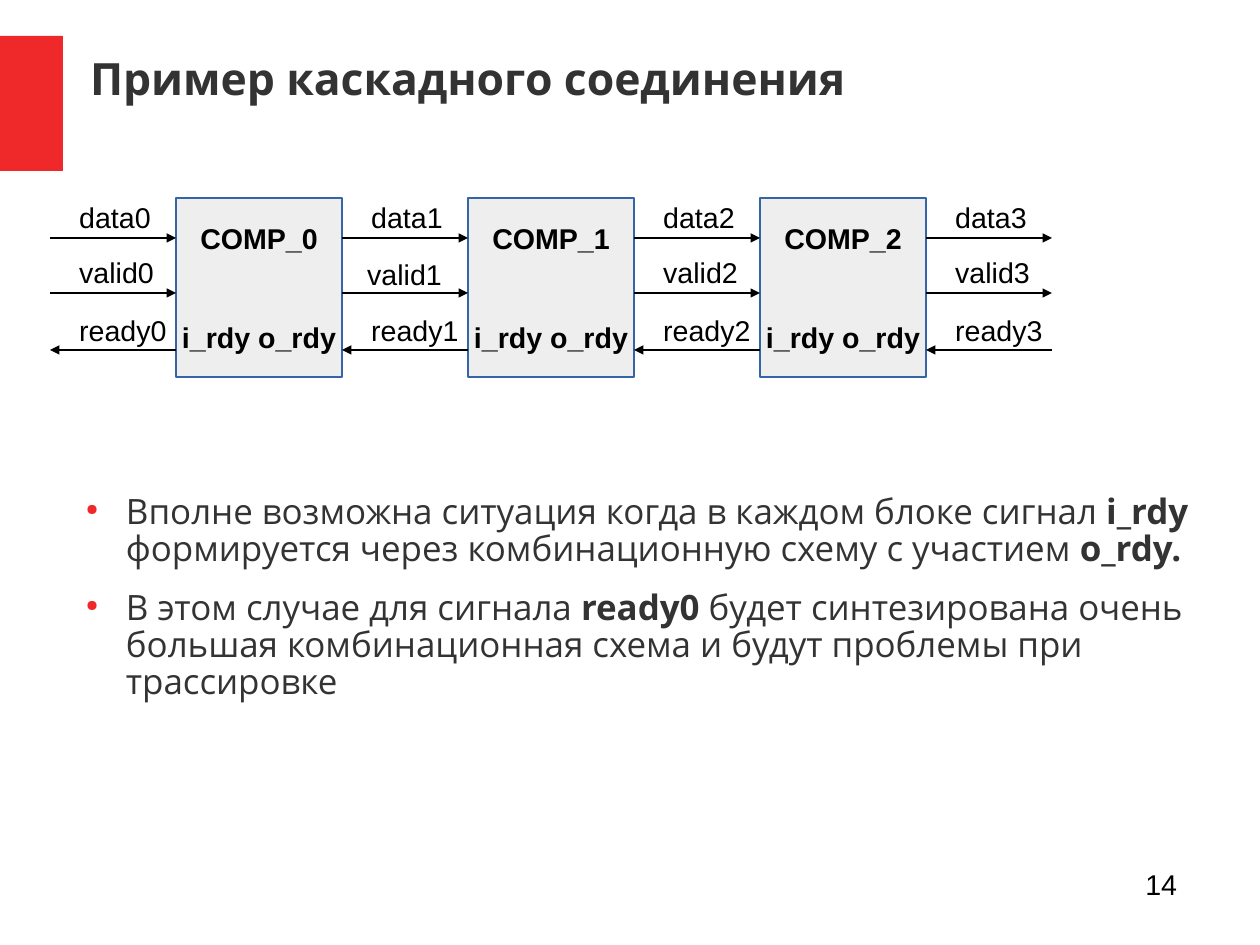
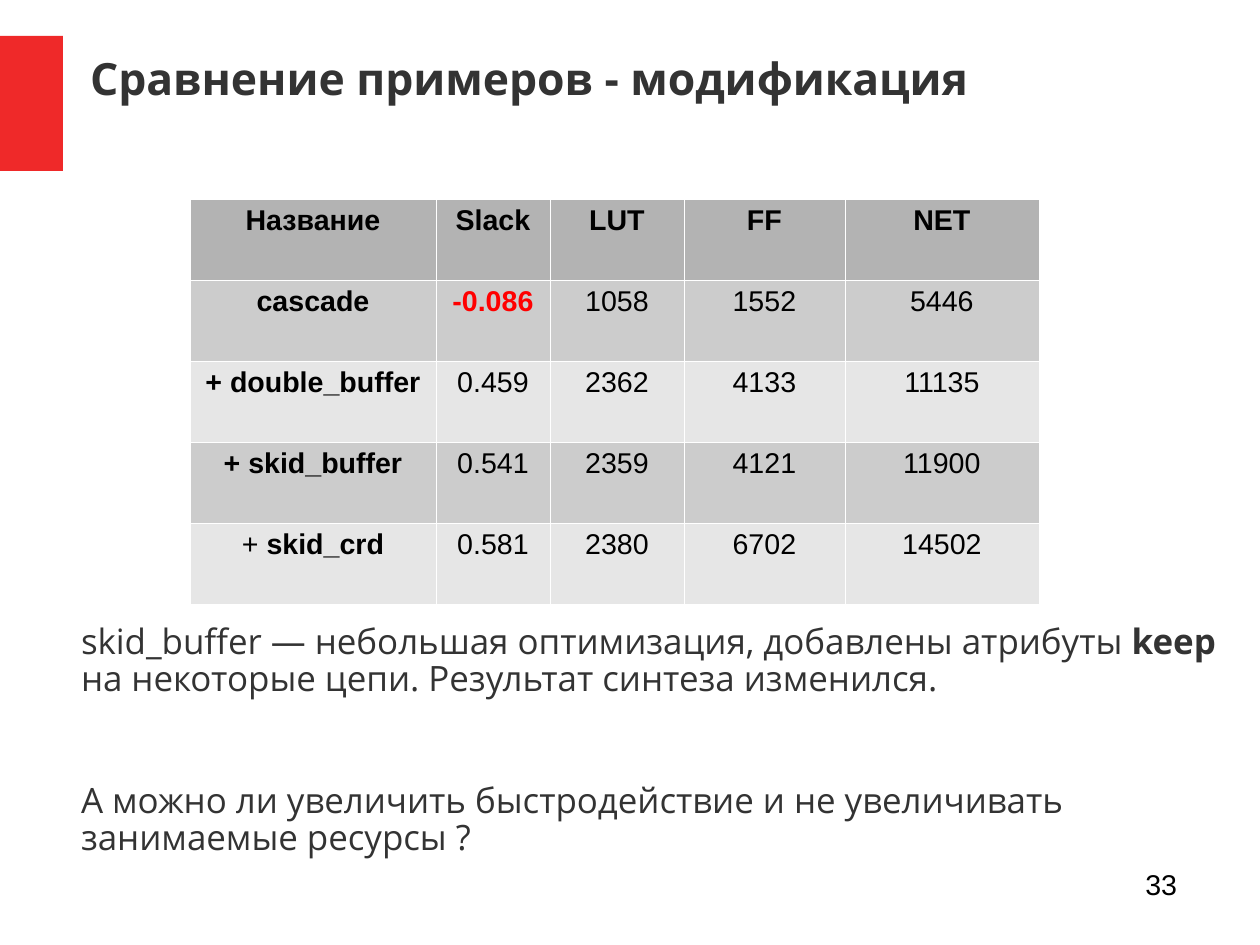
import lxml.etree
import pptx
import pptx.dml.color
import pptx.enum.shapes
import pptx.enum.text
import pptx.oxml.ns
import pptx.util

ALIGN = pptx.enum.text.PP_ALIGN
ANCHOR = pptx.enum.text.MSO_ANCHOR
RECTANGLE = pptx.enum.shapes.MSO_SHAPE.RECTANGLE
STRAIGHT = pptx.enum.shapes.MSO_CONNECTOR.STRAIGHT

EMU_PER_PX = 8000
RED, TEXT, BLACK, WHITE = "EF2929", "333333", "000000", "FFFFFF"
HEADING_FONT, LABEL_FONT = "Open Sans", "Arial"

BLOCK_COUNT = 3
BLOCK_WIDTH, BLOCK_TOP, BLOCK_HEIGHT = 166, 198, 179
ARROW_LEFT, ARROW_LENGTH = 50, 126
PITCH = BLOCK_WIDTH + ARROW_LENGTH
# name, arrow height, label top, runs to the right
SIGNALS = [
    ("data", 238, 194, True),
    ("valid", 293, 249, True),
    ("ready", 350, 307, False),
]
LABEL_SHIFTS = {"valid1": (-4, 2)}

COLUMN_WIDTHS = [246, 114, 134, 161, 194]
ROW_HEIGHT = 81
HEADER_FILL, BAND_FILLS = "B3B3B3", ["CCCCCC", "E6E6E6"]
# Asterisks enclose bold text
RESULTS = [
    ["*Название*", "*Slack*", "*LUT*", "*FF*", "*NET*"],
    ["*cascade*", "*-0.086*", "1058", "1552", "5446"],
    ["*+ double_buffer*", "0.459", "2362", "4133", "11135"],
    ["*+ skid_buffer*", "0.541", "2359", "4121", "11900"],
    ["+ *skid_crd*", "0.581", "2380", "6702", "14502"],
]


def px(length):
    return pptx.util.Emu(length * EMU_PER_PX)


def box(*lengths):
    return [px(length) for length in lengths]


def color(value):
    return pptx.dml.color.RGBColor.from_string(value)


def add_element(parent, tag, **attributes):
    return lxml.etree.SubElement(parent, pptx.oxml.ns.qn(tag), **attributes)


def set_fill(target, value):
    target.fill.solid()
    target.fill.fore_color.rgb = color(value)


def set_font(paragraph, name, size, value):
    paragraph.font.name = name
    paragraph.font.size = pptx.util.Pt(size)
    paragraph.font.color.rgb = color(value)


def write_runs(paragraph, text):
    """Split text at asterisks; every second part is bold."""
    for index, part in enumerate(text.split("*")):
        if part:
            run = paragraph.add_run()
            run.text = part
            run.font.bold = index % 2 == 1


def remove_insets(frame):
    frame.margin_left = frame.margin_right = 0
    frame.margin_top = frame.margin_bottom = 0


def add_text_box(slide, left, top, width, height):
    frame = slide.shapes.add_textbox(*box(left, top, width, height)).text_frame
    frame.word_wrap = True
    return frame


def add_rectangle(slide, left, top, width, height, fill):
    shape = slide.shapes.add_shape(RECTANGLE, *box(left, top, width, height))
    shape.shadow.inherit = False
    set_fill(shape, fill)
    shape.line.fill.background()
    return shape


def add_titled_slide(presentation, title, number):
    """Add a slide with the red band, the title and the page number."""
    slide = presentation.slides.add_slide(presentation.slide_layouts[5])
    add_rectangle(slide, 0, 36, 63, 135, RED)

    placeholder = slide.shapes.title
    placeholder.left, placeholder.top, placeholder.width, placeholder.height = box(90, 38, 1106, 79)
    frame = placeholder.text_frame
    frame.text = title
    frame.vertical_anchor = ANCHOR.MIDDLE
    remove_insets(frame)
    paragraph = frame.paragraphs[0]
    paragraph.alignment = ALIGN.LEFT
    set_font(paragraph, HEADING_FONT, 28, TEXT)
    paragraph.font.bold = True

    frame = add_text_box(slide, 903, 861, 294, 65)
    frame.margin_right = px(20)
    frame.text = str(number)
    paragraph = frame.paragraphs[0]
    paragraph.alignment = ALIGN.RIGHT
    set_font(paragraph, LABEL_FONT, 18, BLACK)
    return slide


def add_bullet(paragraph):
    properties = paragraph._p.get_or_add_pPr()
    properties.set("marL", str(px(54)))
    properties.set("indent", str(px(-40)))
    bullet_color = add_element(properties, "a:buClr")
    add_element(bullet_color, "a:srgbClr", val=RED)
    add_element(properties, "a:buSzPct", val="45000")
    add_element(properties, "a:buChar", char="●")


def add_body(slide, left, top, width, texts, gap, bulleted=False):
    frame = add_text_box(slide, left, top, width, 306)
    remove_insets(frame)
    for index, text in enumerate(texts):
        paragraph = frame.add_paragraph() if index else frame.paragraphs[0]
        if bulleted:
            add_bullet(paragraph)
        paragraph.line_spacing = 0.88
        paragraph.space_after = pptx.util.Pt(gap)
        set_font(paragraph, HEADING_FONT, 22, TEXT)
        write_runs(paragraph, text)


def add_block(slide, left, name):
    block = add_rectangle(slide, left, BLOCK_TOP, BLOCK_WIDTH, BLOCK_HEIGHT, "EEEEEE")
    block.line.color.rgb = color("3465A4")
    block.line.width = pptx.util.Pt(0.75)
    frame = block.text_frame
    frame.word_wrap = False
    frame.vertical_anchor = ANCHOR.MIDDLE
    frame.text = f"{name}\ni_rdy o_rdy"
    for paragraph in frame.paragraphs:
        paragraph.alignment = ALIGN.CENTER
        set_font(paragraph, LABEL_FONT, 18, BLACK)
        paragraph.font.bold = True
    frame.paragraphs[1].space_before = pptx.util.Pt(41)


def add_arrow(slide, start, end, y):
    arrow = slide.shapes.add_connector(STRAIGHT, *box(start, y, end, y))
    arrow.line.color.rgb = color(BLACK)
    arrow.line.width = pptx.util.Pt(0.75)
    add_element(arrow.line._get_or_add_ln(), "a:tailEnd", type="triangle")
    add_element(arrow._element.spPr, "a:effectLst")


def add_signals(slide, stage):
    left = ARROW_LEFT + stage * PITCH
    right = left + ARROW_LENGTH
    for name, y, label_top, forward in SIGNALS:
        start, end = (left, right) if forward else (right, left)
        add_arrow(slide, start, end, y)
        label = f"{name}{stage}"
        shift_x, shift_y = LABEL_SHIFTS.get(label, (0, 0))
        frame = add_text_box(slide, left + 18 + shift_x, label_top + shift_y, 126, 74)
        frame.text = label
        set_font(frame.paragraphs[0], LABEL_FONT, 18, BLACK)


def set_borders(cell):
    properties = cell._tc.get_or_add_tcPr()
    for side in ("L", "R", "T", "B"):
        line = add_element(properties, f"a:ln{side}", w=str(pptx.util.Pt(0.06)))
        add_element(add_element(line, "a:solidFill"), "a:srgbClr", val=WHITE)


def add_results_table(slide, left, top):
    width, height = sum(COLUMN_WIDTHS), ROW_HEIGHT * len(RESULTS)
    table = slide.shapes.add_table(
        len(RESULTS), len(COLUMN_WIDTHS), *box(left, top, width, height)
    ).table
    table.first_row = table.horz_banding = False
    for column, column_width in zip(table.columns, COLUMN_WIDTHS):
        column.width = px(column_width)
    for row_index, row in enumerate(RESULTS):
        fill = BAND_FILLS[(row_index - 1) % 2] if row_index else HEADER_FILL
        for column_index, text in enumerate(row):
            cell = table.cell(row_index, column_index)
            set_borders(cell)
            set_fill(cell, fill)
            paragraph = cell.text_frame.paragraphs[0]
            paragraph.alignment = ALIGN.CENTER
            negative = text.startswith("*-")
            set_font(paragraph, LABEL_FONT, 18, "FF0000" if negative else BLACK)
            write_runs(paragraph, text)


def add_cascade_slide(presentation):
    slide = add_titled_slide(presentation, "Пример каскадного соединения", 14)
    for index in range(BLOCK_COUNT):
        add_block(slide, ARROW_LEFT + ARROW_LENGTH + index * PITCH, f"COMP_{index}")
    for stage in range(BLOCK_COUNT + 1):
        add_signals(slide, stage)
    texts = [
        "Вполне возможна ситуация когда в каждом блоке сигнал *i_rdy* "
        "формируется через комбинационную схему с участием *o_rdy.*",
        "В этом случае для сигнала *ready0* будет синтезирована очень "
        "большая комбинационная схема и будут проблемы при трассировке",
    ]
    add_body(slide, 72, 495, 1152, texts, gap=14.1, bulleted=True)


def add_comparison_slide(presentation):
    slide = add_titled_slide(presentation, "Сравнение примеров - модификация", 33)
    add_results_table(slide, 190, 199)
    texts = [
        "skid_buffer — небольшая оптимизация, добавлены атрибуты *keep* "
        "на некоторые цепи. Результат синтеза изменился.",
        "А можно ли увеличить быстродействие и не увеличивать занимаемые ресурсы ?",
    ]
    add_body(slide, 81, 625, 1138, texts, gap=54)


def main():
    presentation = pptx.Presentation()
    presentation.slide_width, presentation.slide_height = box(1260, 945)
    add_cascade_slide(presentation)
    add_comparison_slide(presentation)
    presentation.save("out.pptx")


if __name__ == "__main__":
    main()
